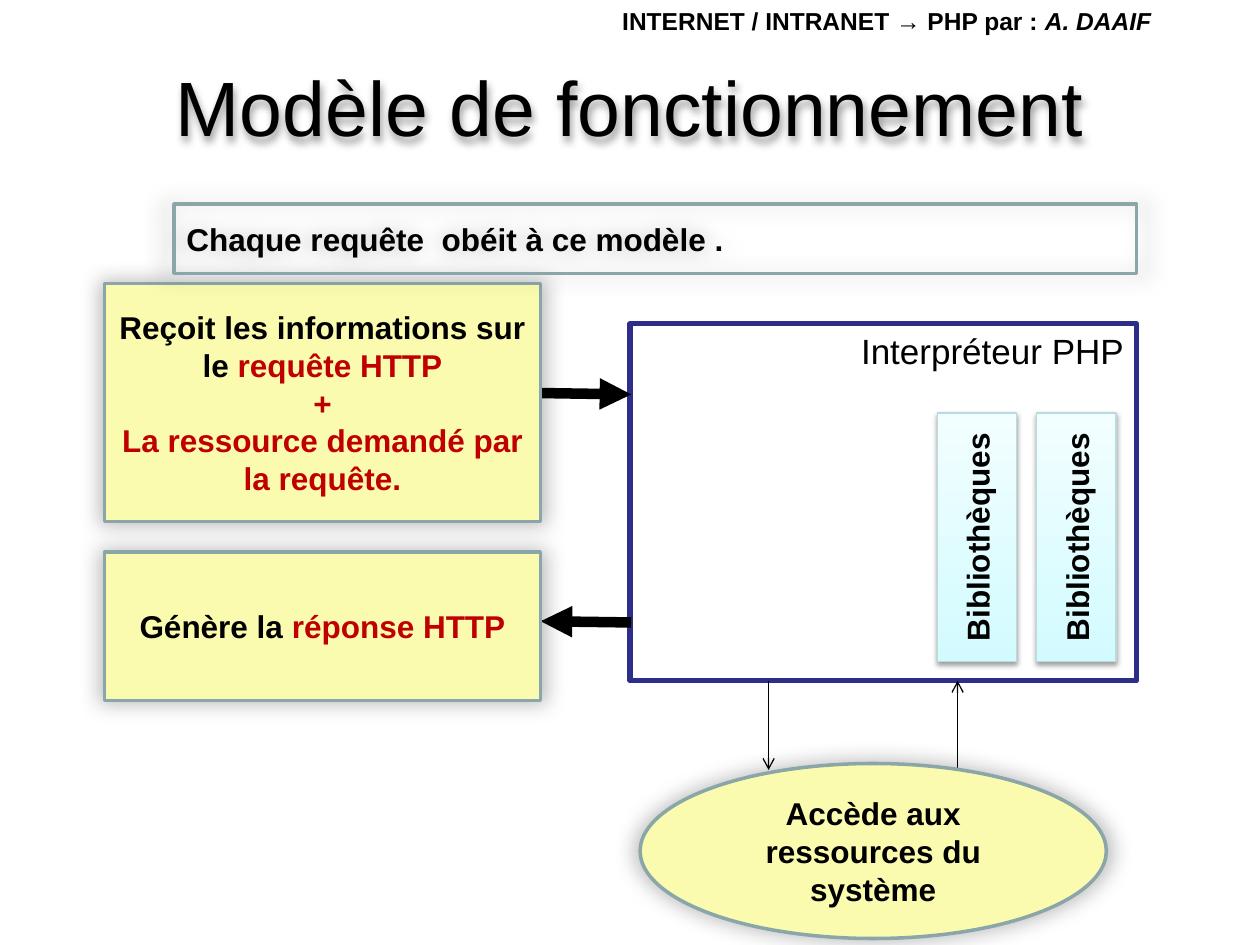
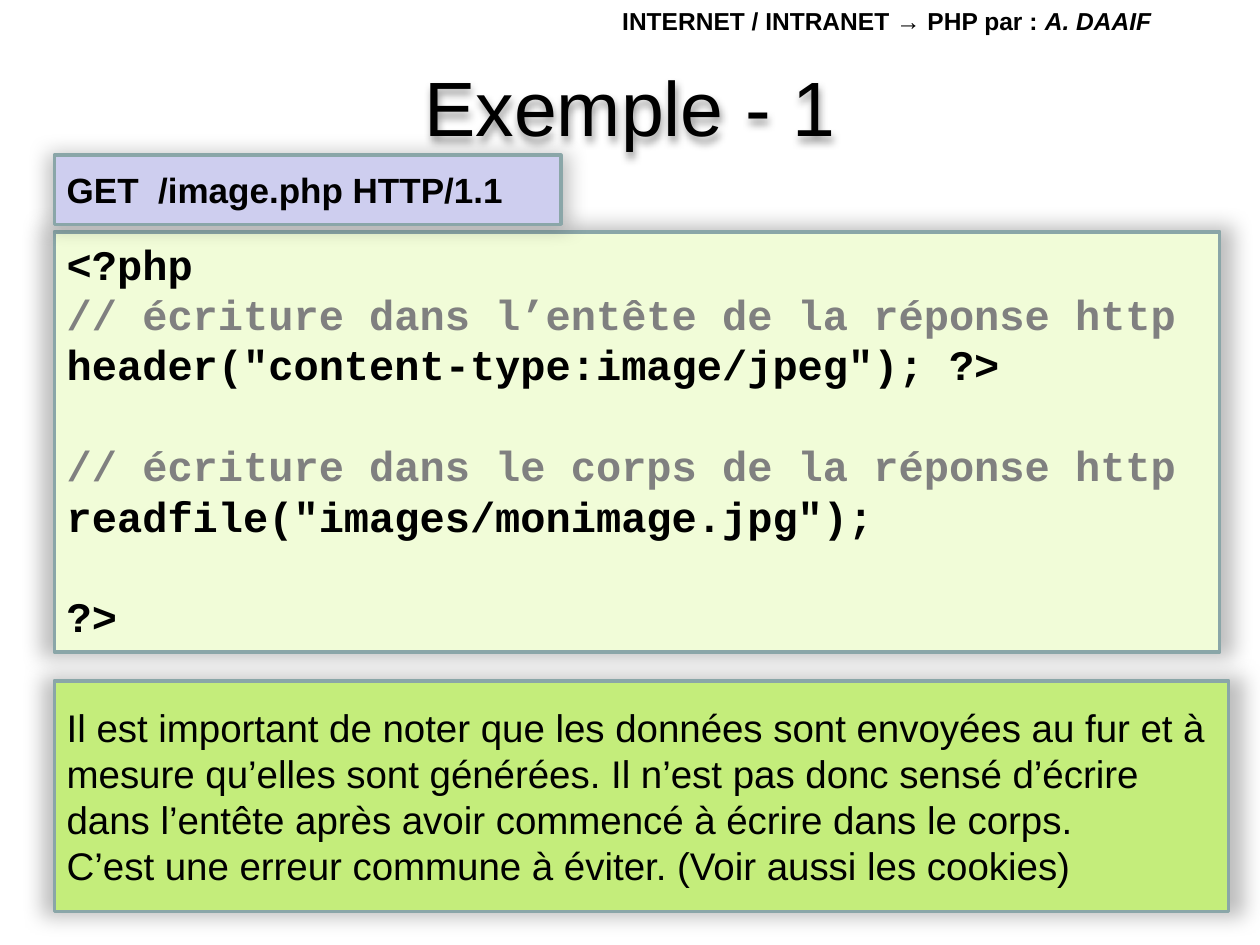
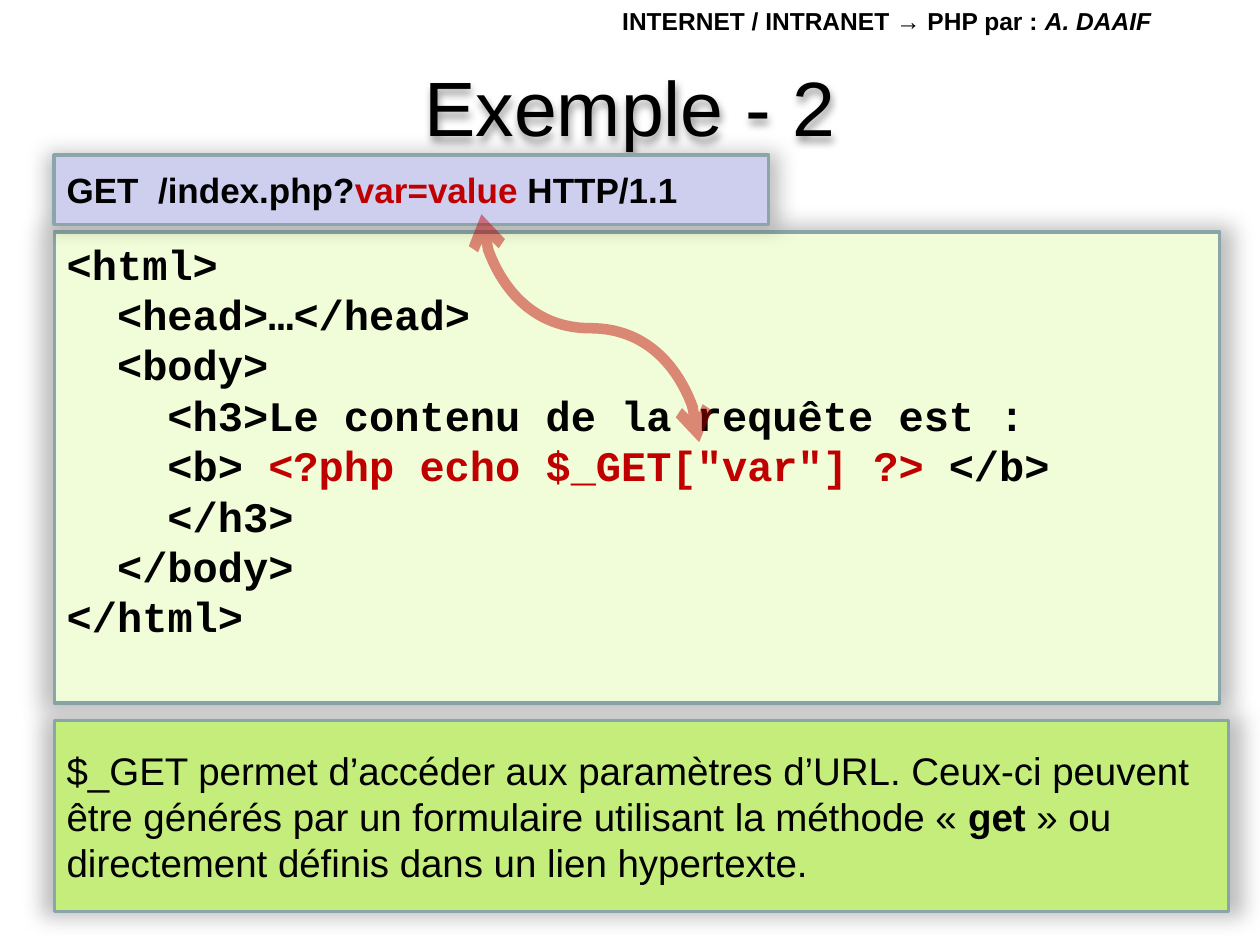
"""Three slides on how PHP handles an HTTP request."""
from dataclasses import dataclass

from lxml import etree
from pptx import Presentation
from pptx.dml.color import RGBColor
from pptx.enum import shapes, text
from pptx.oxml import ns
from pptx.util import Pt

BLACK = RGBColor(0x00, 0x00, 0x00)
WHITE = RGBColor(0xFF, 0xFF, 0xFF)
RED = RGBColor(0xC0, 0x00, 0x00)
GREY = RGBColor(0x80, 0x80, 0x80)
NAVY = RGBColor(0x2D, 0x2D, 0x8A)
BORDER = RGBColor(0x8A, 0xA6, 0xA8)
YELLOW = RGBColor(0xFB, 0xFB, 0xAF)
LAVENDER = RGBColor(0xCE, 0xCE, 0xEF)
PALE_GREEN = RGBColor(0xF1, 0xFC, 0xD8)
GREEN = RGBColor(0xC4, 0xED, 0x7B)
AQUA = RGBColor(0xD3, 0xFB, 0xFF)
PALE_AQUA = RGBColor(0xF2, 0xFE, 0xFF)
AQUA_BORDER = RGBColor(0xB6, 0xDC, 0xDF)

SANS, MONO = "Arial", "Courier New"
LEFT, CENTER, RIGHT = (text.PP_ALIGN.LEFT, text.PP_ALIGN.CENTER,
                       text.PP_ALIGN.RIGHT)
TOP, MIDDLE = text.MSO_ANCHOR.TOP, text.MSO_ANCHOR.MIDDLE
RECTANGLE = shapes.MSO_SHAPE.RECTANGLE
OVAL = shapes.MSO_SHAPE.OVAL
STRAIGHT = shapes.MSO_CONNECTOR.STRAIGHT
CURVE = shapes.MSO_CONNECTOR.CURVE

CODE_INDENT = 28.8  # two characters of code
CODE_LINE = 28.8    # height of one line of code
EXAMPLE_LEFT = 31


@dataclass
class Line:
    """A paragraph: runs are (text, colour) pairs or plain strings."""
    runs: list
    indent: float = 0
    gap: float = 0


def add_xml(parent, tag, **attributes):
    """Append a DrawingML element and return it."""
    values = {key: str(value) for key, value in attributes.items()}
    return etree.SubElement(parent, ns.qn("a:" + tag), values)


def set_shadow(shape, alpha, blur, distance=0, scale=100):
    """Give a shape a soft black shadow falling downwards."""
    shape.shadow.inherit = False
    effects = shape.element.spPr.find(ns.qn("a:effectLst"))
    shadow = add_xml(effects, "outerShdw", blurRad=Pt(blur), dist=Pt(distance),
                     dir=5400000, sx=scale * 1000, sy=scale * 1000,
                     algn="ctr", rotWithShape=0)
    color = add_xml(shadow, "srgbClr", val=BLACK)
    add_xml(color, "alpha", val=alpha * 1000)


class Deck:
    """Holds the shared style and the slide being built."""

    def __init__(self):
        """Start an empty 10 by 7.5 inch presentation."""
        self.presentation = Presentation()
        self.presentation.slide_width = Pt(720)
        self.presentation.slide_height = Pt(540)
        self.slide = None

    def new_slide(self, title):
        """Add a slide with its title and the course header."""
        layout = self.presentation.slide_layouts[5]
        self.slide = self.presentation.slides.add_slide(layout)
        shape = self.slide.shapes.title
        shape.left, shape.top = Pt(36), Pt(32)
        shape.width, shape.height = Pt(648), Pt(57)
        self.set_text(shape, [title], 44, align=CENTER, anchor=MIDDLE)
        set_shadow(shape, 40, 5, 3)

        header = self.slide.shapes.add_textbox(Pt(348.5), 0, Pt(380), Pt(26.6))
        self.set_text(header, [Line(["INTERNET / INTRANET → PHP par : ",
                                     "A. DAAIF"])], 14, bold=True)
        header.text_frame.paragraphs[0].runs[1].font.italic = True

    def set_text(self, shape, lines, size, font=SANS, bold=False, align=LEFT,
                 anchor=TOP):
        """Fill a shape with paragraphs of one style."""
        frame = shape.text_frame
        frame.word_wrap = True
        frame.auto_size = text.MSO_AUTO_SIZE.NONE
        frame.vertical_anchor = anchor
        for index, line in enumerate(lines):
            if isinstance(line, str):
                line = Line([line])
            paragraph = (frame.add_paragraph() if index
                         else frame.paragraphs[0])
            paragraph.alignment = align
            paragraph.space_before = Pt(line.gap)
            if line.indent:
                paragraph._p.get_or_add_pPr().set("marL", str(Pt(line.indent)))
            paragraph.font.name = font
            paragraph.font.size = Pt(size)
            paragraph.font.bold = bold
            paragraph.font.color.rgb = BLACK
            for part in line.runs:
                run = paragraph.add_run()
                if isinstance(part, str):
                    run.text = part
                else:
                    run.text, run.font.color.rgb = part

    def box(self, left, top, width, height, fill=None, border=BORDER,
            weight=2, kind=RECTANGLE):
        """Add an outlined shape without shadow."""
        shape = self.slide.shapes.add_shape(
            kind, Pt(left), Pt(top), Pt(width), Pt(height))
        shape.shadow.inherit = False
        if fill is None:
            shape.fill.background()
        else:
            shape.fill.solid()
            shape.fill.fore_color.rgb = fill
        shape.line.color.rgb = border
        shape.line.width = Pt(weight)
        return shape

    def panel(self, left, top, width, height, fill, lines, size=18, bold=True,
              align=LEFT, anchor=MIDDLE, font=SANS, kind=RECTANGLE):
        """Add a bordered text panel with a soft shadow."""
        shape = self.box(left, top, width, height, fill, kind=kind)
        set_shadow(shape, 25, 12, scale=102)
        self.set_text(shape, lines, size, font, bold, align, anchor)
        return shape

    def library(self, left):
        """Add a library column with upward text."""
        shape = self.box(left, 236, 45.4, 142, border=AQUA_BORDER, weight=0.75)
        shape.fill.gradient()
        shape.fill.gradient_angle = 90
        for stop, color in zip(shape.fill.gradient_stops, (AQUA, PALE_AQUA)):
            stop.color.rgb = color
        set_shadow(shape, 38, 3.1, 1.6)
        self.set_text(shape, ["Bibliothèques"], 18, bold=True, align=CENTER,
                      anchor=MIDDLE)
        shape.element.txBody.bodyPr.set("vert", "vert270")

    def arrow(self, start, end, weight, color=BLACK, head=None, tail=None,
              kind=STRAIGHT):
        """Add a connector; head sits at its start, tail at its end."""
        connector = self.slide.shapes.add_connector(
            kind, *(Pt(value) for value in (*start, *end)))
        connector.line.color.rgb = color
        connector.line.width = Pt(weight)
        line = connector.line._get_or_add_ln()
        for tag, arrowhead in (("headEnd", head), ("tailEnd", tail)):
            if arrowhead:
                add_xml(line, tag, type=arrowhead)
        add_xml(connector._element.spPr, "effectLst")
        return connector

    def variable_link(self):
        """Add the translucent curve joining the parameter to its use."""
        connector = self.arrow((402.5, 125.3), (272.2, 249.8), 6, RED,
                               "arrow", "arrow", CURVE)
        properties = connector._element.spPr
        properties.find(ns.qn("a:xfrm")).set("rot", str(270 * 60000))
        color = next(properties.iter(ns.qn("a:srgbClr")))
        add_xml(color, "alpha", val=45000)

    def example(self, title, request, request_width, code, code_height,
                note, note_top):
        """Add an example slide and return its remark panel."""
        self.new_slide(title)
        self.panel(EXAMPLE_LEFT, 132.5, 666, code_height, PALE_GREEN, code, 24,
                   anchor=TOP, font=MONO)
        remark = self.panel(EXAMPLE_LEFT, note_top, 671, 521 - note_top, GREEN,
                            note, 22, bold=False)
        self.panel(EXAMPLE_LEFT, 88.6, request_width, 39.6, LAVENDER,
                   [request], 20)
        return remark


def build_model(deck):
    """Build the diagram of the request cycle."""
    deck.new_slide("Modèle de fonctionnement")
    interpreter = deck.box(360, 185, 289.5, 204, WHITE, NAVY, 3)
    deck.set_text(interpreter, ["Interpréteur PHP"], 20, align=RIGHT)

    deck.arrow((309, 355), (360.7, 355.7), 6, head="triangle")
    deck.arrow((309, 224.6), (360.7, 225.4), 6, tail="triangle")
    deck.arrow((439.2, 389), (439.2, 440), 0.75, tail="arrow")
    deck.arrow((547.2, 440), (547.2, 389), 0.75, tail="arrow")

    deck.panel(59.8, 162, 249, 136, YELLOW, [
        Line(["Reçoit les informations sur le ", ("requête HTTP", RED)]),
        Line([("+", RED)]),
        Line([("La ressource demandé par la requête.", RED)]),
    ], align=CENTER)
    deck.panel(59.8, 315.4, 249, 85, YELLOW,
               [Line(["Génère la ", ("réponse HTTP", RED)])], align=CENTER)
    deck.panel(365.8, 436.3, 266.4, 100, YELLOW,
               ["Accède aux ressources du système"], align=CENTER, kind=OVAL)
    for left in (592.4, 535.7):
        deck.library(left)
    deck.panel(99.4, 116.6, 550, 39.6, None,
               ["Chaque requête  obéit à ce modèle ."])


def build_image_example(deck):
    """Build the example that sends an image."""
    deck.example(
        "Exemple - 1", "GET  /image.php HTTP/1.1", 289.5,
        ["<?php ",
         Line([("// écriture dans l’entête de la réponse http", GREY)]),
         'header("content-type:image/jpeg"); ?>',
         Line([("// écriture dans le corps de la réponse http", GREY)],
              gap=CODE_LINE),
         'readfile("images/monimage.jpg");',
         Line(["?>"], gap=CODE_LINE)], 240,
        ["Il est important de noter que les données sont envoyées au fur et à "
         "mesure qu’elles sont générées. Il n’est pas donc sensé d’écrire dans "
         "l’entête après avoir commencé à écrire dans le corps.",
         "C’est une erreur commune à éviter. (Voir aussi les cookies)"], 389)


def build_parameter_example(deck):
    """Build the example that reads a URL parameter."""
    code = [
        (0, ["<html>"]),
        (1, ["<head>…</head>"]),
        (1, ["<body>"]),
        (2, ["<h3>Le contenu de la requête est :"]),
        (2, ["<b> ", ('<?php echo $_GET["var"] ?>', RED), " </b>"]),
        (2, ["</h3>"]),
        (1, ["</body>"]),
        (0, ["</html>"]),
    ]
    remark = deck.example(
        "Exemple - 2",
        Line(["GET  /index.php?", ("var=value", RED), " HTTP/1.1"]), 408.3,
        [Line(runs, indent=level * CODE_INDENT) for level, runs in code], 269.3,
        [Line(["$_GET permet d’accéder aux paramètres d’URL. Ceux-ci peuvent "
               "être générés par un formulaire utilisant la méthode «\u00a0",
               "get",
               "\u00a0» ou directement définis dans un lien hypertexte."])],
        411.8)
    remark.text_frame.paragraphs[0].runs[1].font.bold = True
    deck.variable_link()


deck = Deck()
build_model(deck)
build_image_example(deck)
build_parameter_example(deck)
deck.presentation.save("out.pptx")
